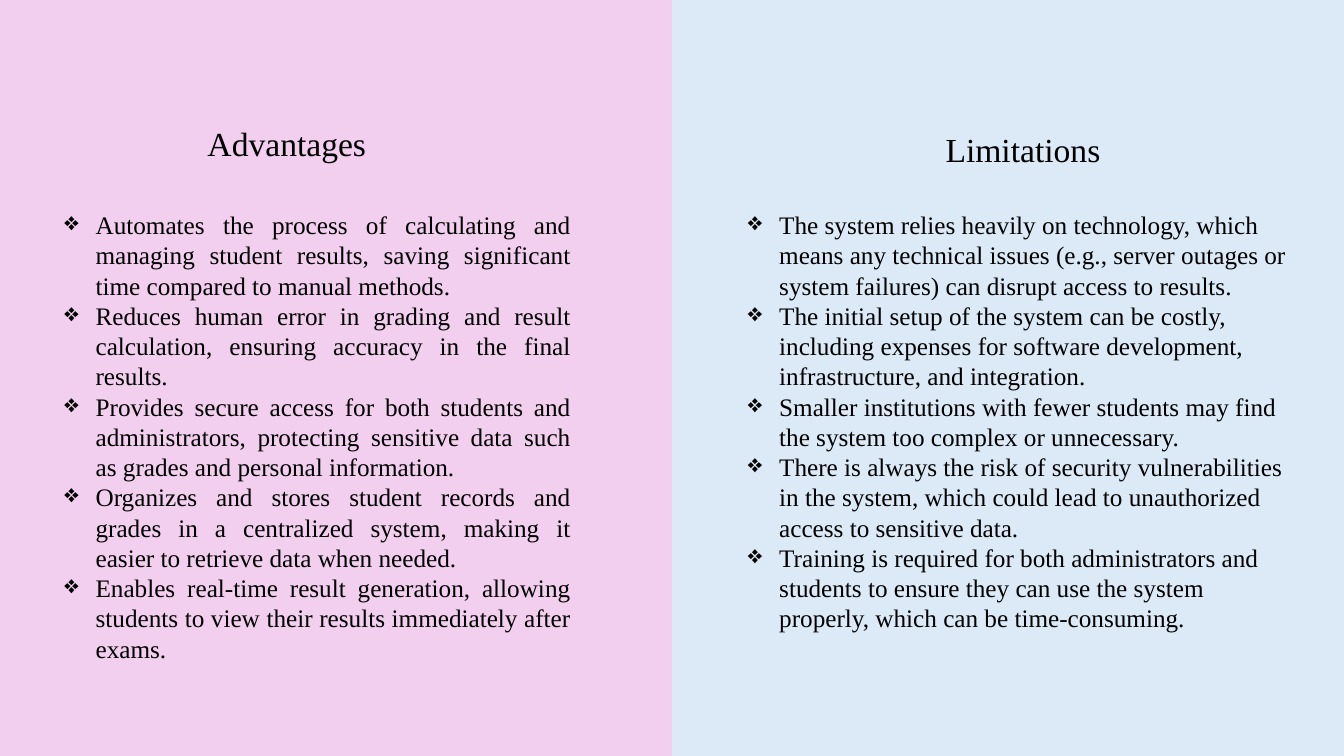
from lxml.etree import SubElement
from pptx import Presentation
from pptx.dml.color import RGBColor
from pptx.enum.shapes import MSO_SHAPE
from pptx.enum.text import MSO_AUTO_SIZE, PP_ALIGN
from pptx.oxml.ns import qn
from pptx.util import Inches, Pt

COLORS = {"pink": "F2CFEE", "blue": "DCEAF7", "text": "000000"}
FONT = "Times New Roman"
SLIDE_WIDTH = 13.33
SLIDE_HEIGHT = 7.5
BULLET_INDENT = Inches(0.31)

ADVANTAGES = [
    "Automates the process of calculating and managing student results, "
    "saving significant time compared to manual methods.",
    "Reduces human error in grading and result calculation, "
    "ensuring accuracy in the final results.",
    "Provides secure access for both students and administrators, "
    "protecting sensitive data such as grades and personal information.",
    "Organizes and stores student records and grades in a centralized system, "
    "making it easier to retrieve data when needed.",
    "Enables real-time result generation, "
    "allowing students to view their results immediately after exams.",
]
LIMITATIONS = [
    "The system relies heavily on technology, which means any technical issues "
    "(e.g., server outages or system failures) can disrupt access to results.",
    "The initial setup of the system can be costly, including expenses for "
    "software development, infrastructure, and integration.",
    "Smaller institutions with fewer students may find the system "
    "too complex or unnecessary.",
    "There is always the risk of security vulnerabilities in the system, "
    "which could lead to unauthorized access to sensitive data.",
    "Training is required for both administrators and students to ensure they "
    "can use the system properly, which can be time-consuming.",
]


def add_panel(page, left, color):
    panel = page.shapes.add_shape(
        MSO_SHAPE.RECTANGLE, Inches(left), 0, Inches(SLIDE_WIDTH / 2), Inches(SLIDE_HEIGHT)
    )
    panel.shadow.inherit = False
    panel.fill.solid()
    panel.fill.fore_color.rgb = RGBColor.from_string(COLORS[color])
    panel.line.fill.background()


def add_text_frame(page, left, top, width, height):
    box = page.shapes.add_textbox(Inches(left), Inches(top), Inches(width), Inches(height))
    frame = box.text_frame
    frame.word_wrap = True
    frame.auto_size = MSO_AUTO_SIZE.SHAPE_TO_FIT_TEXT
    return frame


def add_span(para, text, size):
    span = para.add_run()
    span.text = text
    span.font.name = FONT
    span.font.size = Pt(size)
    span.font.color.rgb = RGBColor.from_string(COLORS["text"])


def add_bullet(para):
    properties = para._p.get_or_add_pPr()
    properties.set("marL", str(BULLET_INDENT))
    properties.set("indent", str(-BULLET_INDENT))
    SubElement(properties, qn("a:buChar")).set("char", "❖")


def add_heading(page, text, left, top):
    frame = add_text_frame(page, left, top, 3, 0.5)
    add_span(frame.paragraphs[0], text, 24)


def add_bullet_list(page, items, left, width, height, alignment):
    frame = add_text_frame(page, left, 2.03, width, height)
    for index, item in enumerate(items):
        para = frame.add_paragraph() if index else frame.paragraphs[0]
        para.alignment = alignment
        add_bullet(para)
        add_span(para, item, 18)


def main():
    deck = Presentation()
    deck.slide_width = Inches(SLIDE_WIDTH)
    deck.slide_height = Inches(SLIDE_HEIGHT)
    page = deck.slides.add_slide(deck.slide_layouts[6])

    add_panel(page, 0, "pink")
    add_panel(page, SLIDE_WIDTH / 2, "blue")
    add_bullet_list(page, ADVANTAGES, 0.54, 5.22, 4.64, PP_ALIGN.JUSTIFY)
    add_bullet_list(page, LIMITATIONS, 7.32, 5.58, 4.34, PP_ALIGN.LEFT)
    add_heading(page, "Advantages", 1.96, 1.17)
    add_heading(page, "Limitations", 9.28, 1.23)

    deck.save("out.pptx")


if __name__ == "__main__":
    main()
